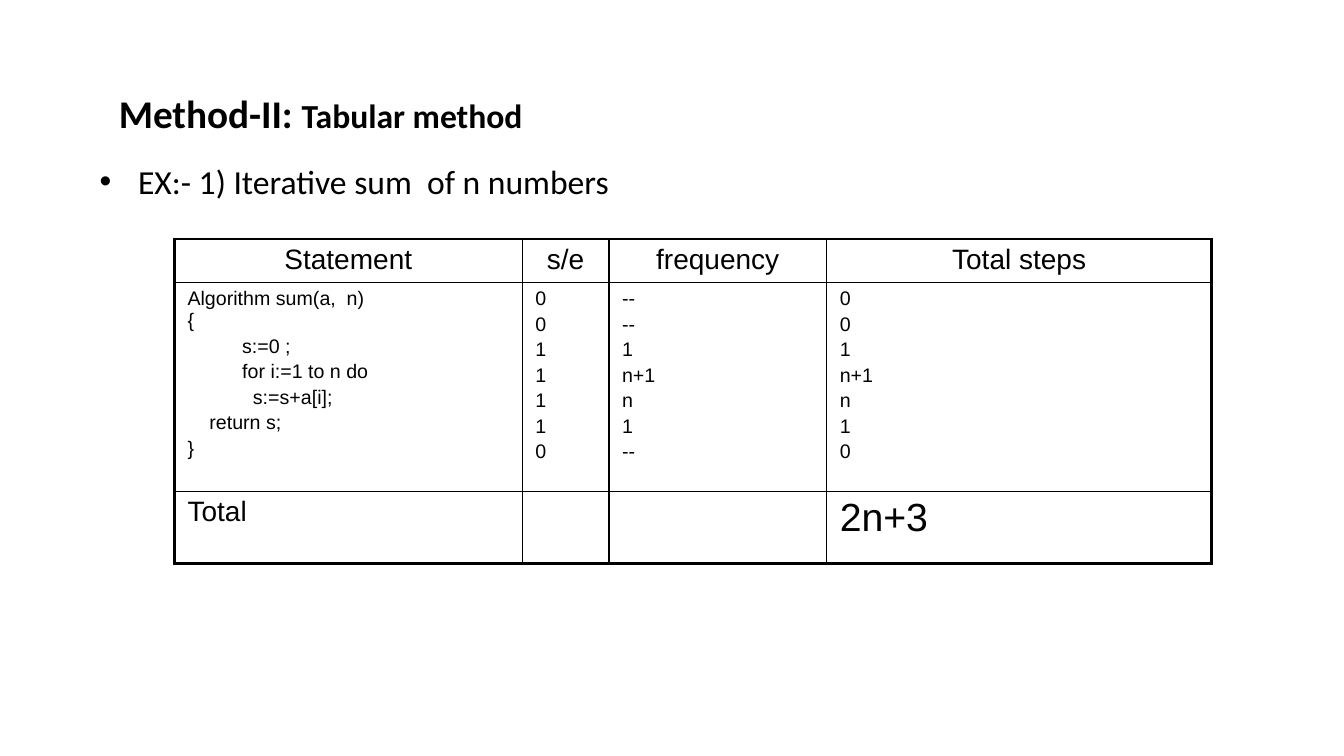
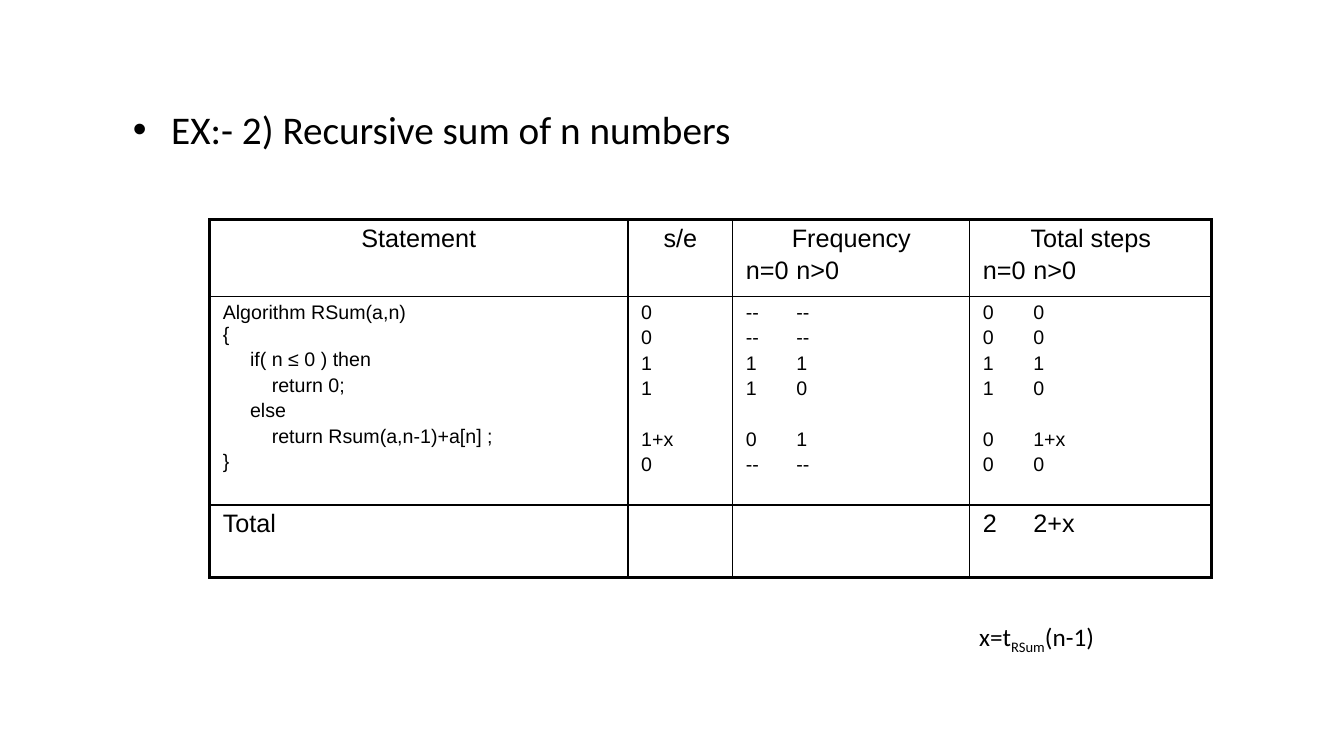
from dataclasses import dataclass
from lxml.etree import SubElement
from pptx import Presentation
from pptx.dml.color import RGBColor
from pptx.enum.shapes import MSO_SHAPE
from pptx.enum.text import MSO_ANCHOR, PP_ALIGN
from pptx.oxml.ns import qn
from pptx.util import Inches, Pt

WIDTH, HEIGHT = Inches(13.33), Inches(7.5)
BLACK, WHITE = "000000", "FFFFFF"
CODE_SIZE, LINE_GAP, SKIPPED_LINE = 14, 2.5, 20.5
CELL_MARGINS = {
    "margin_left": Inches(0.13),
    "margin_right": Inches(0.13),
    "margin_top": Inches(0.05),
    "margin_bottom": Inches(0.05),
}


@dataclass
class Line:
    """One paragraph of a table cell; indent in points, tab in inches."""
    text: str
    indent: float = 0
    tab: float = 0
    before: float = LINE_GAP
    size: float = CODE_SIZE
    alignment: PP_ALIGN = PP_ALIGN.LEFT


def color(hex_text):
    """Turn a hex string into a colour."""
    return RGBColor.from_string(hex_text)


def across(percent):
    """Give a share of the slide width."""
    return round(WIDTH * percent / 100)


def down(percent):
    """Give a share of the slide height."""
    return round(HEIGHT * percent / 100)


def place(left, top, width, height):
    """Turn percentages of the slide into a box."""
    return across(left), down(top), across(width), down(height)


def apply_format(target, values):
    """Set every attribute named in a dict of format values."""
    for name, value in values.items():
        setattr(target, name, value)


def add_run(paragraph, text, size, name="Calibri", bold=False):
    """Append a black run to a paragraph."""
    run = paragraph.add_run()
    run.text = text
    apply_format(run.font, {"size": Pt(size), "name": name, "bold": bold})
    run.font.color.rgb = color(BLACK)
    return run


def add_text_box(slide, box, anchor):
    """Add a wrapping text box and return its first paragraph."""
    frame = slide.shapes.add_textbox(*box).text_frame
    apply_format(frame, {"word_wrap": True, "vertical_anchor": anchor})
    return frame.paragraphs[0]


def add_title(slide, box, heading, detail):
    """Write the bold title with its smaller second part."""
    paragraph = add_text_box(slide, box, MSO_ANCHOR.MIDDLE)
    paragraph.line_spacing = 0.9
    add_run(paragraph, heading, 28, bold=True)
    add_run(paragraph, detail, 24, bold=True)


def add_example(slide, box, text, size):
    """Write the bulleted name of the example."""
    paragraph = add_text_box(slide, box, MSO_ANCHOR.TOP)
    add_run(paragraph, text, size)
    properties = paragraph._p.get_or_add_pPr()
    properties.set("marL", str(Inches(0.38)))
    properties.set("indent", str(-Inches(0.38)))
    SubElement(properties, qn("a:buFont"), typeface="Arial")
    SubElement(properties, qn("a:buChar"), char="•")


def add_note(slide, box, parts):
    """Write a centred formula; each part is a text and its baseline shift."""
    shape = slide.shapes.add_shape(MSO_SHAPE.RECTANGLE, *box)
    shape.shadow.inherit = False
    shape.fill.solid()
    shape.fill.fore_color.rgb = color(WHITE)
    shape.line.color.rgb = color(WHITE)
    shape.line.width = Pt(0.75)
    apply_format(shape.text_frame, {"word_wrap": False, "vertical_anchor": MSO_ANCHOR.MIDDLE})
    paragraph = shape.text_frame.paragraphs[0]
    paragraph.alignment = PP_ALIGN.CENTER
    for text, baseline in parts:
        run = add_run(paragraph, text, 18)
        run._r.get_or_add_rPr().set("baseline", str(baseline * 1000))


def add_borders(cell, outer_sides):
    """Draw the four cell borders, heavier on the table's outer sides."""
    properties = cell._tc.get_or_add_tcPr()
    for side in "LRTB":
        weight = Pt(2.25 if side in outer_sides else 1)
        line = SubElement(properties, qn(f"a:ln{side}"), w=str(weight))
        fill = SubElement(line, qn("a:solidFill"))
        SubElement(fill, qn("a:srgbClr"), val=BLACK)


def fill_cell(cell, lines):
    """Write the lines of one cell."""
    apply_format(cell, CELL_MARGINS)
    for index, line in enumerate(lines):
        frame = cell.text_frame
        paragraph = frame.add_paragraph() if index else frame.paragraphs[0]
        apply_format(paragraph, {"alignment": line.alignment, "space_before": Pt(line.before)})
        add_run(paragraph, line.text, line.size, "Arial")
        properties = paragraph._p.get_or_add_pPr()
        properties.set("marL", str(Pt(line.indent)))
        properties.set("indent", "0")
        if line.tab:
            tabs = SubElement(properties, qn("a:tabLst"))
            SubElement(tabs, qn("a:tab"), pos=str(Inches(line.tab)), algn="l")


def add_step_table(slide, left, top, widths, heights, rows):
    """Add a step-count table from rows of cells, each a list of lines."""
    box = place(left, top, sum(widths), sum(heights))
    table = slide.shapes.add_table(len(rows), len(widths), *box).table
    apply_format(table, {"first_row": False, "horz_banding": False})
    for column, width in zip(table.columns, widths):
        column.width = across(width)
    last_row, last_column = len(rows) - 1, len(widths) - 1
    for row_index, row in enumerate(rows):
        table.rows[row_index].height = down(heights[row_index])
        for column_index, lines in enumerate(row):
            edges = {
                "L": column_index == 0, "R": column_index == last_column,
                "T": row_index == 0, "B": row_index == last_row,
            }
            cell = table.cell(row_index, column_index)
            add_borders(cell, [side for side, outer in edges.items() if outer])
            cell.fill.background()
            fill_cell(cell, lines)


def header(text, size):
    """Make a centred column heading."""
    return Line(text, size=size, alignment=PP_ALIGN.CENTER)


def code(*entries):
    """Make code lines from texts and indents; the brace sits close to its head."""
    return [Line(text, indent, before=0 if text == "{" else LINE_GAP) for text, indent in entries]


def values(*texts, tab=0, skip_before=None):
    """Make value lines, leaving one line free before the given index."""
    return [
        Line(text, tab=tab, before=SKIPPED_LINE if index == skip_before else LINE_GAP)
        for index, text in enumerate(texts)
    ]


def build_iterative_slide(slide):
    """Build the slide on the iterative sum."""
    add_title(slide, place(8.1, 8.8, 80, 12.93), "Method-II: ", "Tabular method")
    add_example(slide, place(6.68, 20.67, 66.7, 12.67), "EX:- 1) Iterative sum  of n numbers", 24)
    headings = ["Statement", "s/e", "frequency", "Total steps"]
    algorithm = code(
        ("Algorithm sum(a,  n)", 0), ("{", 0), ("s:=0 ;", 39), ("for i:=1 to n do", 39),
        ("s:=s+a[i];", 46.7), ("return s;", 15.6), ("}", 0),
    )
    rows = [
        [[header(text, 20)] for text in headings],
        [
            algorithm,
            values(*"0011110"),
            values("--", "--", "1", "n+1", "n", "1", "--"),
            values("0", "0", "1", "n+1", "n", "1", "0"),
        ],
        [[Line("Total", size=20)], [], [], [Line("2n+3", size=28)]],
    ]
    add_step_table(slide, 12.98, 31.6, [25.88, 6.45, 16.2, 28.65], [5.73, 27.6, 9.6], rows)


def build_recursive_slide(slide):
    """Build the slide on the recursive sum."""
    add_example(slide, place(9.15, 13.33, 66.7, 12.67), "EX:- 2) Recursive sum of n numbers", 28)
    cases = Line("n=0\tn>0", tab=1.05, size=18)
    algorithm = code(
        ("Algorithm RSum(a,n)", 0), ("{", 0), ("if( n ≤ 0 ) then", 19.5), ("return 0;", 35),
        ("else", 19.5), ("return Rsum(a,n-1)+a[n] ;", 35), ("}", 0),
    )
    frequencies = ["--\t--", "--\t--", "1\t1", "1\t0", "0\t1", "--\t--"]
    totals = ["0\t0", "0\t0", "1\t1", "1\t0", "0\t1+x", "0\t0"]
    rows = [
        [
            [header("Statement", 18)],
            [header("s/e", 18)],
            [header("Frequency", 18), cases],
            [header("Total steps", 18), cases],
        ],
        [
            algorithm,
            values("0", "0", "1", "1", "1+x", "0", skip_before=4),
            values(*frequencies, tab=1.07, skip_before=4),
            values(*totals, tab=0.92, skip_before=4),
        ],
        [[Line("Total", size=18)], [], [], [Line("2\t2+x", tab=0.83, size=18)]],
    ]
    add_step_table(slide, 15.6, 29.07, [31.13, 7.8, 17.63, 18], [10.13, 27.6, 9.6], rows)
    add_note(slide, place(66.7, 80, 20.86, 8.93), [("x=t", 0), ("RSum", -25), ("(n-1)", 0)])


def main():
    """Build and save the presentation."""
    presentation = Presentation()
    apply_format(presentation, {"slide_width": WIDTH, "slide_height": HEIGHT})
    for build in (build_iterative_slide, build_recursive_slide):
        build(presentation.slides.add_slide(presentation.slide_layouts[6]))
    presentation.save("out.pptx")


main()
